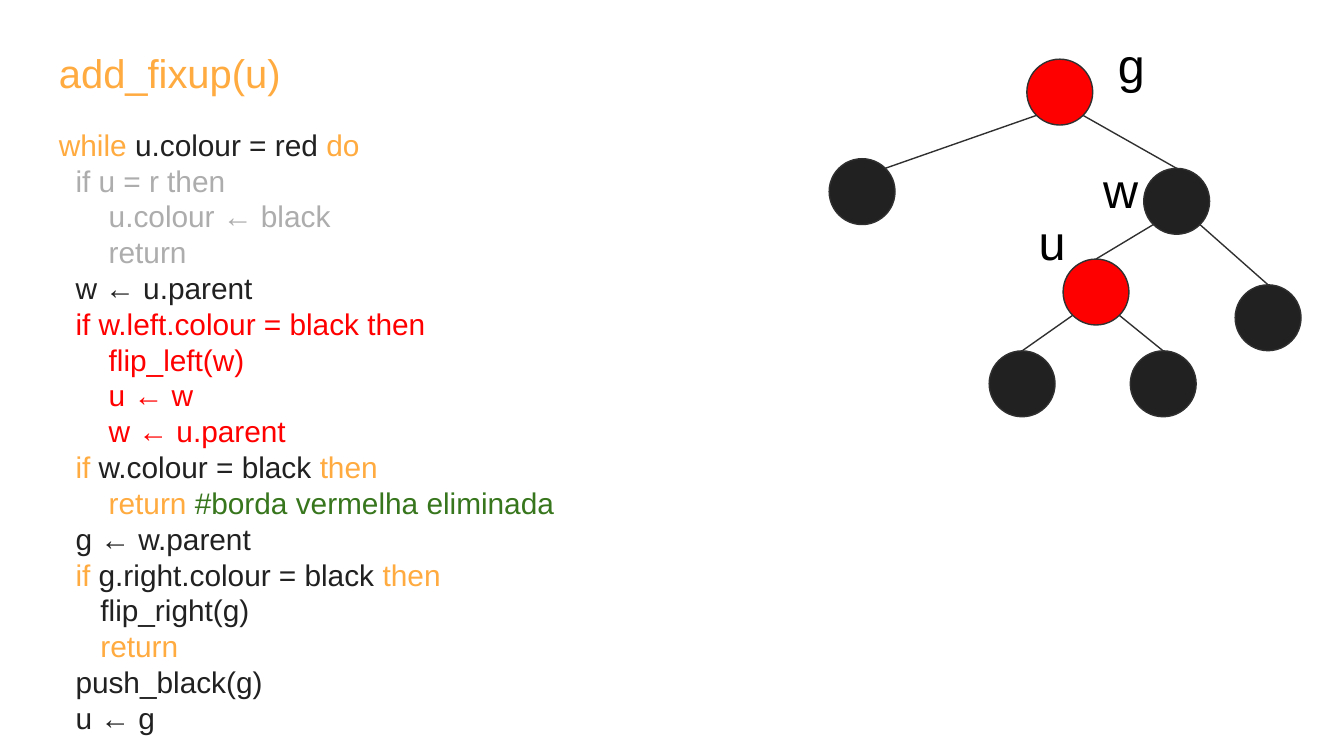
"""Builds a slide with the add_fixup(u) pseudocode and its red-black tree."""
from lxml import etree
from pptx import Presentation
from pptx.dml.color import RGBColor
from pptx.enum.shapes import MSO_CONNECTOR, MSO_SHAPE
from pptx.enum.text import MSO_ANCHOR
from pptx.oxml.ns import qn
from pptx.util import Pt

OVAL = MSO_SHAPE.OVAL
STRAIGHT = MSO_CONNECTOR.STRAIGHT
TOP = MSO_ANCHOR.TOP

ORANGE = RGBColor(0xFF, 0xAB, 0x40)
DARK = RGBColor(0x21, 0x21, 0x21)
GREY = RGBColor(0xAD, 0xAD, 0xAD)
RED = RGBColor(0xFF, 0x00, 0x00)
GREEN = RGBColor(0x38, 0x76, 0x1D)
BLACK = RGBColor(0x00, 0x00, 0x00)
OUTLINE = RGBColor(0x30, 0x30, 0x30)

FONT = "Arial"
SPACE = 4.45
DIAMETER = 35.3
CORNER = DIAMETER / 2 * 0.5 ** 0.5

TITLE = [(0, [("add_fixup(u)", ORANGE)])]
CODE = [
    (0, [("while ", ORANGE), ("u.colour = red ", DARK), ("do", ORANGE)]),
    (2, [("if u = r then", GREY)]),
    (6, [("u.colour ← black", GREY)]),
    (6, [("return", GREY)]),
    (2, [("w ← u.parent", DARK)]),
    (2, [("if w.left.colour = black then", RED)]),
    (6, [("flip_left(w)", RED)]),
    (6, [("u ← w", RED)]),
    (6, [("w ← u.parent", RED)]),
    (2, [("if ", ORANGE), ("w.colour = black ", DARK), ("then", ORANGE)]),
    (6, [("return", ORANGE), (" #borda vermelha eliminada", GREEN)]),
    (2, [("g ← w.parent", DARK)]),
    (2, [("if ", ORANGE), ("g.right.colour = black ", DARK), ("then", ORANGE)]),
    (5, [("flip_right(g)", DARK)]),
    (5, [("return", ORANGE)]),
    (2, [("push_black(g)", DARK)]),
    (2, [("u ← g", DARK)]),
]
NODES = {
    "g": (550.1, 31.7, RED),
    "g.left": (444.2, 85, DARK),
    "w": (612.7, 90.2, DARK),
    "u": (569.5, 138.8, RED),
    "w.right": (661.7, 152.6, DARK),
    "u.left": (529.9, 188, DARK),
    "u.right": (605.5, 188, DARK),
}
EDGES = [
    ("g", "g.left"), ("g", "w"), ("w", "u"),
    ("w", "w.right"), ("u", "u.left"), ("u", "u.right"),
]
LABELS = [("g", 591.8, 11.5), ("w", 583.9, 78.5), ("u", 549.4, 106.6)]


def add_text(slide, lines, *, left, top, width, height, size):
    sp = slide.shapes.add_textbox(Pt(left), Pt(top), Pt(width), Pt(height))
    tf = sp.text_frame
    tf.word_wrap = True
    tf.vertical_anchor = TOP
    tf.margin_left = tf.margin_right = tf.margin_top = tf.margin_bottom = Pt(7.2)
    for i, (indent, runs) in enumerate(lines):
        p = tf.add_paragraph() if i else tf.paragraphs[0]
        p.line_spacing = Pt(round(size * 1.2, 2))
        p._p.get_or_add_pPr().set("marL", str(Pt(indent * SPACE)))
        for text, color in runs:
            r = p.add_run()
            r.text = text
            r.font.name = FONT
            r.font.size = Pt(size)
            r.font.color.rgb = color


def add_node(slide, left, top, color):
    sp = slide.shapes.add_shape(OVAL, Pt(left), Pt(top), Pt(DIAMETER), Pt(DIAMETER))
    sp.shadow.inherit = False
    sp.fill.solid()
    sp.fill.fore_color.rgb = color
    sp.line.color.rgb = OUTLINE
    sp.line.width = Pt(0.75)
    return sp


def add_edge(slide, parent, child, nodes):
    px, py = (v + DIAMETER / 2 for v in NODES[parent][:2])
    cx, cy = (v + DIAMETER / 2 for v in NODES[child][:2])
    side = CORNER if cx > px else -CORNER
    line = slide.shapes.add_connector(
        STRAIGHT, Pt(px + side), Pt(py + CORNER), Pt(cx + CORNER), Pt(cy - CORNER))
    if child != "g.left":
        line.end_connect(nodes[child], 0)
    line.line.color.rgb = OUTLINE
    line.line.width = Pt(0.75)
    etree.SubElement(line._element.spPr, qn("a:effectLst"))


def main():
    prs = Presentation()
    prs.slide_width, prs.slide_height = Pt(720), Pt(405)
    slide = prs.slides.add_slide(prs.slide_layouts[6])
    add_text(slide, TITLE, left=24.5, top=18.7, width=179.3, height=45.4, size=21.4)
    add_text(slide, CODE, left=24.5, top=60.5, width=293, height=344.2, size=16)
    nodes = {name: add_node(slide, *node) for name, node in NODES.items()}
    for parent, child in EDGES:
        add_edge(slide, parent, child, nodes)
    for text, left, top in LABELS:
        add_text(slide, [(0, [(text, BLACK)])],
                 left=left, top=top, width=23.8, height=46.1, size=26)
    prs.save("out.pptx")


if __name__ == "__main__":
    main()
